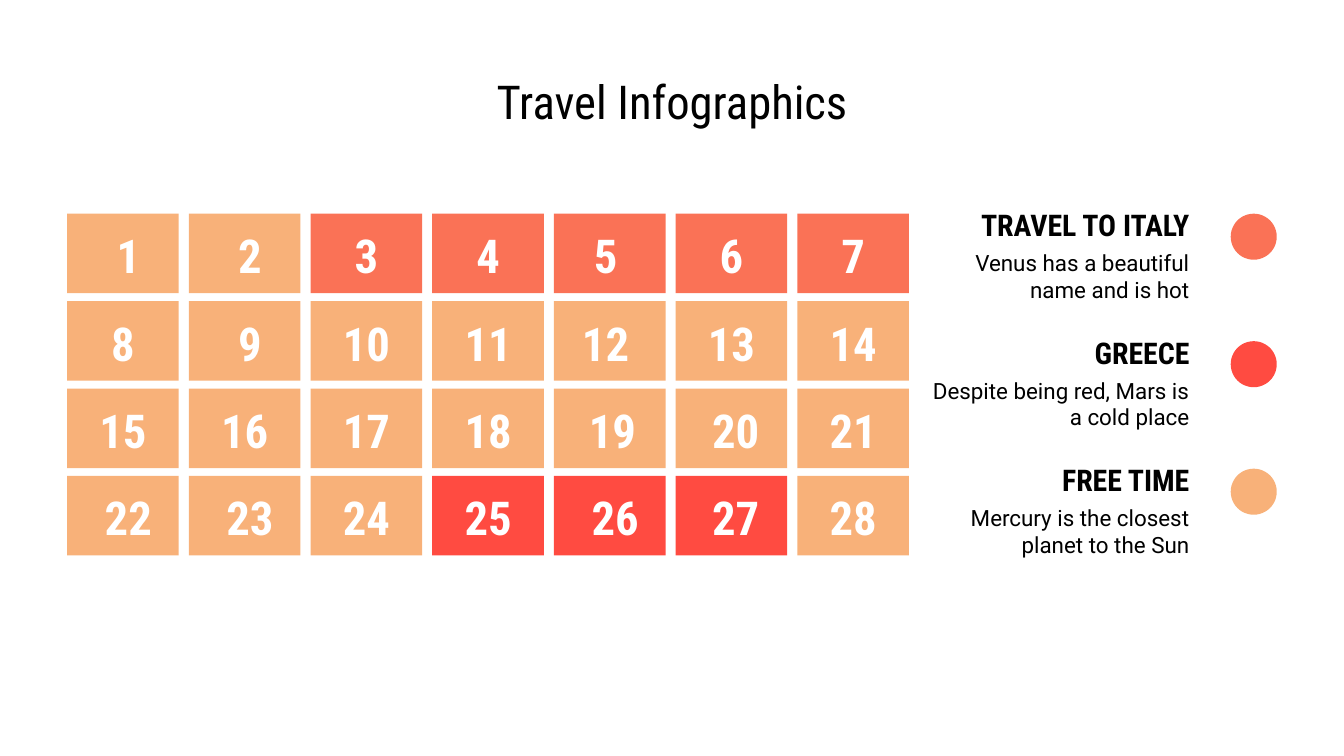
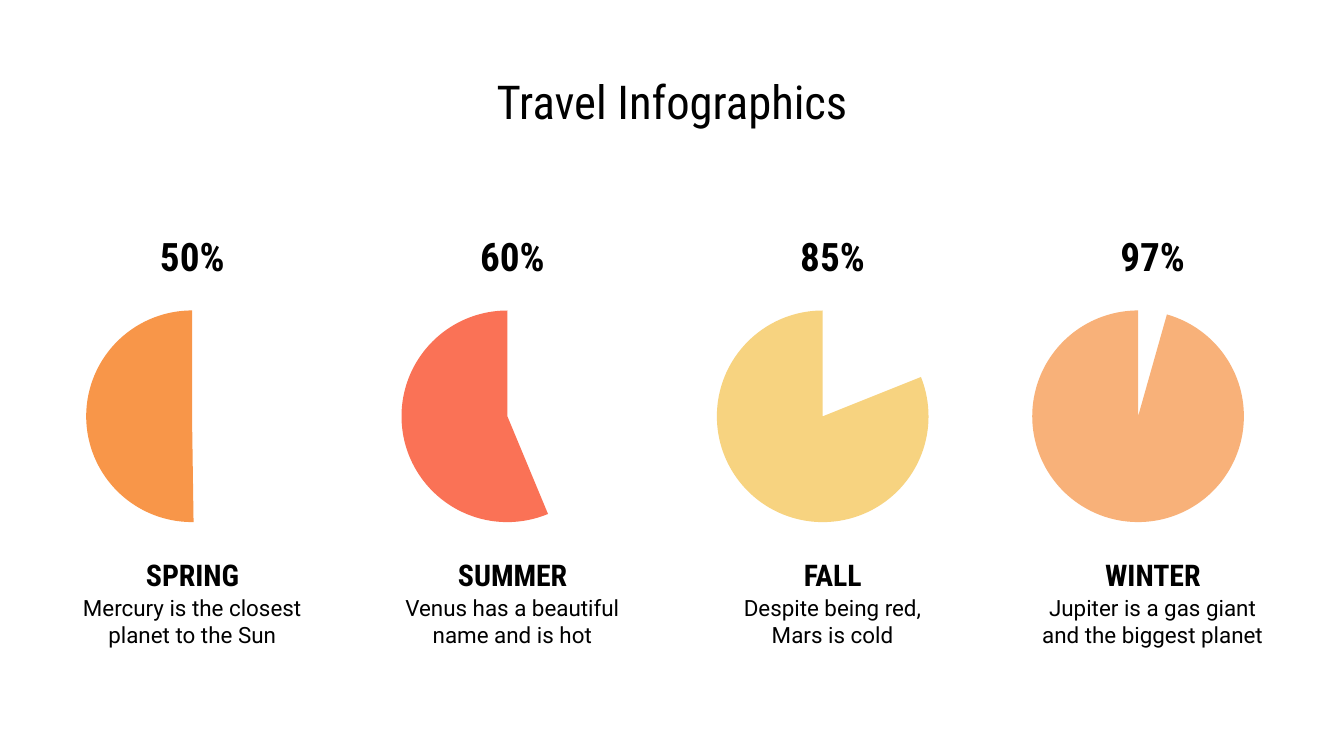
import pptx
import pptx.util
import pptx.dml.color
import pptx.enum.shapes
import pptx.enum.text

Cm = pptx.util.Cm
SHAPE = pptx.enum.shapes.MSO_SHAPE
ALIGN = pptx.enum.text.PP_ALIGN
ANCHOR = pptx.enum.text.MSO_ANCHOR

COLORS = {
    "text": "000000",
    "white": "FFFFFF",
    "coral": "FA7256",
    "red": "FF4B41",
    "peach": "F8B179",
    "orange": "F89649",
    "yellow": "F7D380",
}
HEAD_FONT = "Roboto Condensed"
BODY_FONT = "Roboto"

TRIP_DAYS = {"coral": range(3, 8), "red": range(25, 28)}
# Sideways shift of single day numbers, in cm
DAY_SHIFTS = {1: 0.1, 2: 0.1, 5: -0.08, 9: 0.1, 12: -0.08, 19: 0.05,
              20: 0.08, 22: 0.1, 23: 0.1, 26: 0.1, 27: 0.08}
TRIPS = [
    ("TRAVEL TO ITALY", "Venus has a beautiful name and is hot", "coral"),
    ("GREECE", "Despite being red, Mars is a cold place", "red"),
    ("FREE TIME", "Mercury is the closest planet to the Sun", "peach"),
]
# Name, share, description, colour, start angle of the pie
SEASONS = [
    ("SPRING", "50%", "Mercury is the closest planet to the Sun", "orange", 89.16),
    ("SUMMER", "60%", "Venus has a beautiful name and is hot", "coral", 67.39),
    ("FALL", "85%", "Despite being red,\vMars is cold", "yellow", 338.2),
    ("WINTER", "97%", "Jupiter is a gas giant and the biggest planet", "peach", 285.81),
]


def rgb(name):
    return pptx.dml.color.RGBColor.from_string(COLORS[name])


def add_text(s, text, x, y, w, h, size, font=HEAD_FONT, bold=True,
             color="text", align=ALIGN.CENTER, anchor=ANCHOR.TOP):
    tf = s.shapes.add_textbox(Cm(x), Cm(y), Cm(w), Cm(h)).text_frame
    tf.word_wrap = True
    tf.vertical_anchor = anchor
    tf.margin_left = tf.margin_right = tf.margin_top = tf.margin_bottom = Cm(0.25)
    tf.text = text
    p = tf.paragraphs[0]
    p.alignment = align
    for r in p.runs:
        r.font.name = font
        r.font.size = pptx.util.Pt(size)
        r.font.bold = bold
        r.font.color.rgb = rgb(color)


def add_filled(s, kind, x, y, w, h, color):
    sp = s.shapes.add_shape(kind, Cm(x), Cm(y), Cm(w), Cm(h))
    sp.shadow.inherit = False
    sp.fill.solid()
    sp.fill.fore_color.rgb = rgb(color)
    sp.line.fill.background()
    return sp


def add_titled_slide(prs):
    s = prs.slides.add_slide(prs.slide_layouts[6])
    add_text(s, "Travel Infographics", 1.27, 1.24, 22.86, 1.45, 25,
             bold=False, anchor=ANCHOR.BOTTOM)
    return s


def day_color(day):
    for color, days in TRIP_DAYS.items():
        if day in days:
            return color
    return "peach"


def add_calendar(s, x, y, w, h, columns=7, rows=4, gap_x=0.19, gap_y=0.15):
    cell_w = (w - gap_x * (columns - 1)) / columns
    cell_h = (h - gap_y * (rows - 1)) / rows
    number_w, number_h = 1.57, 1.24
    for i in range(columns * rows):
        row, column = divmod(i, columns)
        day = i + 1
        cell_x = x + column * (cell_w + gap_x)
        cell_y = y + row * (cell_h + gap_y)
        add_filled(s, SHAPE.RECTANGLE, cell_x, cell_y, cell_w, cell_h, day_color(day))
        add_text(s, str(day),
                 cell_x + (cell_w - number_w) / 2 + DAY_SHIFTS.get(day, 0),
                 cell_y + (cell_h - number_h) / 2 + 0.03,
                 number_w, number_h, 25, color="white", anchor=ANCHOR.MIDDLE)


def add_legend(s, x, y, w, pitch=2.41):
    dot, text_w = 0.87, 5.38
    for i, (name, description, color) in enumerate(TRIPS):
        top = y + i * pitch
        add_filled(s, SHAPE.OVAL, x + w - dot, top + 0.38, dot, dot, color)
        add_text(s, name, x, top, text_w, 0.94, 16, align=ALIGN.RIGHT)
        add_text(s, description, x, top + 0.8, text_w, 1.45, 12, BODY_FONT,
                 bold=False, align=ALIGN.RIGHT)


def add_seasons(s, x, y, text_pitch=6.05, pie_pitch=5.96):
    size = 4
    for i, (name, share, description, color, start) in enumerate(SEASONS):
        left = x + i * text_pitch
        pie = add_filled(s, SHAPE.PIE, x + 0.51 + i * pie_pitch, y + 1.62,
                         size, size, color)
        for k, degrees in enumerate((start, 270)):
            pie.adjustments[k] = degrees * 0.6
        add_text(s, share, left + 0.23, y, 4.57, 1.17, 21, anchor=ANCHOR.MIDDLE)
        add_text(s, name, left + 0.6, y + 6.03, 3.84, 0.69, 16)
        add_text(s, description, left, y + 6.73, 5.03, 1.6, 12, BODY_FONT, bold=False)


def main():
    prs = pptx.Presentation()
    prs.slide_width, prs.slide_height = Cm(25.4), Cm(14.29)
    s = add_titled_slide(prs)
    add_calendar(s, 1.27, 4.04, 15.91, 6.46)
    add_legend(s, 17.35, 3.66, 6.78)
    add_seasons(add_titled_slide(prs), 1.12, 4.25)
    prs.save("out.pptx")


if __name__ == "__main__":
    main()
